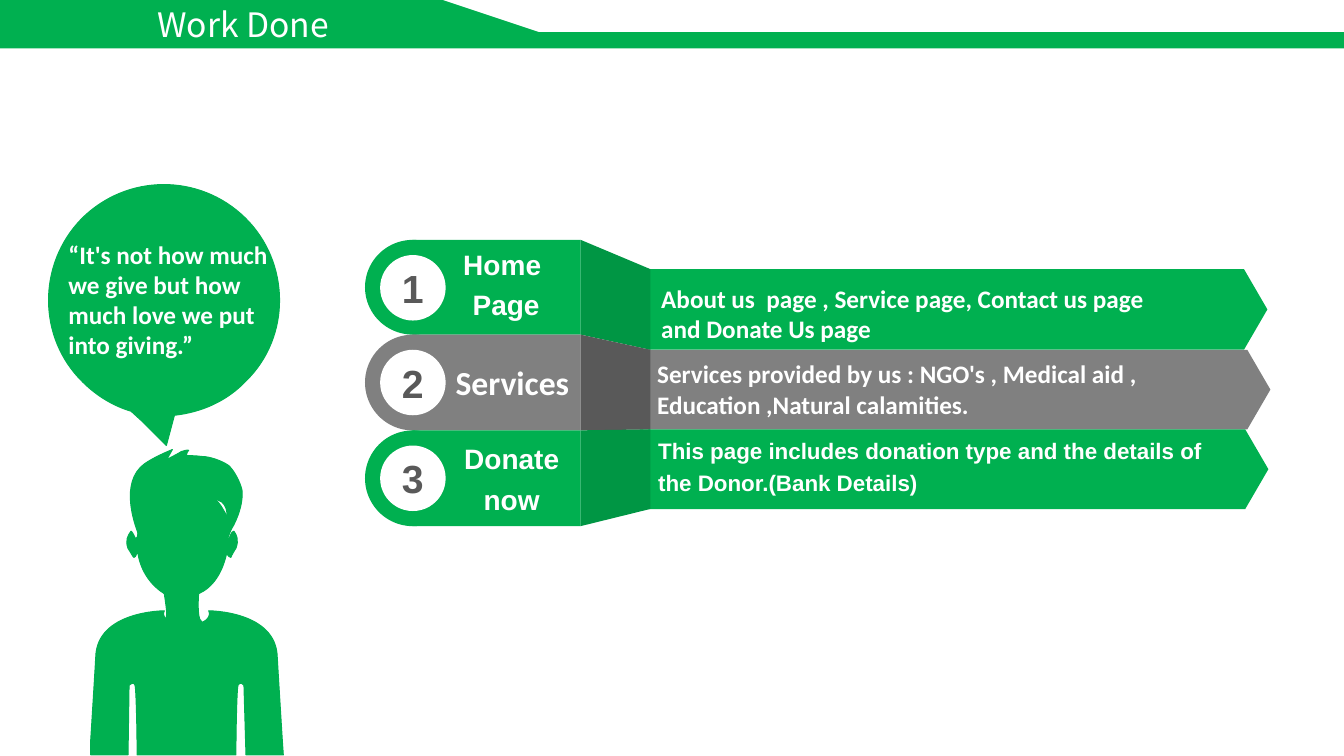
from lxml import etree
from pptx import Presentation
from pptx.dml.color import RGBColor
from pptx.enum.shapes import MSO_SHAPE
from pptx.enum.text import MSO_ANCHOR, MSO_AUTO_SIZE, PP_ALIGN
from pptx.oxml.ns import qn
from pptx.util import Emu, Pt

PX = 9144  # 100 px to the inch
GREEN, SHADE, GREY, DARK, WHITE = "00B050", "009644", "808080", "595959", "FFFFFF"

# Each curve is x, y of the start, then three points for each Bezier piece.
HEAD = [
    216, 634, 215, 632, 211, 628, 208, 626, 204, 621, 199, 616, 198, 614,
    197, 611, 196, 603, 197, 589, 211, 583, 221, 568, 225, 548,
    226, 551, 226, 551, 227, 552, 228, 553, 228, 553, 229, 553,
    229, 553, 230, 550, 234, 544, 237, 536, 235, 531, 232, 527,
    231, 527, 230, 527, 227, 535, 226, 534, 226, 534, 226, 534,
    225, 532, 231, 523, 224, 510, 218, 500, 214, 488, 185, 487,
    168, 487, 150, 483, 138, 505, 137, 529, 137, 534, 135, 534,
    135, 536, 135, 536, 135, 536, 134, 533, 131, 527, 130, 527,
    127, 531, 124, 536, 127, 544, 131, 550, 132, 553, 133, 553,
    134, 553, 135, 552, 136, 547, 137, 550, 137, 550, 137, 550,
    140, 567, 150, 581, 163, 589, 165, 602, 166, 610, 165, 612,
    163, 617, 152, 629, 149, 634, 159, 634, 168, 634, 175, 634,
    192, 634, 200, 633, 205, 633, 208, 633, 212, 633, 216, 634]
BODY = [
    127, 749, 128, 680, 128, 680, 128, 680, 128, 680, 133, 675, 134, 680,
    135, 683, 136, 722, 136, 749, 234, 749, 234, 749, 234, 749,
    234, 722, 235, 683, 236, 680, 238, 675, 242, 680, 242, 680,
    244, 749, 244, 749, 244, 749, 281, 749, 281, 749, 281, 749,
    280, 734, 280, 734, 280, 734, 280, 734, 276, 670, 275, 652,
    274, 606, 207, 606, 207, 606, 207, 606, 214, 618, 185, 621,
    156, 618, 163, 606, 163, 606, 163, 606, 96, 606, 95, 652,
    94, 670, 90, 734, 90, 734, 90, 749, 90, 749, 90, 749]
HAIR = [
    143, 537, 143, 537, 141, 520, 140, 516, 140, 512, 141, 502, 143, 498,
    145, 495, 157, 490, 161, 488, 165, 486, 182, 486, 192, 488,
    202, 490, 216, 496, 220, 498, 224, 501, 226, 508, 225, 513,
    224, 518, 223, 525, 223, 528, 223, 529, 221, 538, 221, 538,
    221, 538, 223, 541, 224, 538, 226, 535, 229, 525, 230, 524,
    231, 523, 242, 503, 240, 486, 238, 478, 233, 468, 227, 462,
    220, 457, 208, 453, 201, 453, 194, 452, 185, 452, 185, 452,
    185, 452, 185, 450, 186, 448, 189, 446, 186, 446, 180, 448,
    175, 451, 169, 454, 169, 454, 169, 454, 165, 457, 166, 455,
    167, 453, 171, 446, 171, 446, 171, 446, 146, 456, 139, 464,
    119, 485, 136, 526, 137, 529, 138, 533, 140, 535, 141, 537,
    143, 539, 143, 537, 143, 537]
BUBBLE = [
    243, 216, 198, 172, 126, 172, 81, 217, 37, 262, 37, 335, 82, 379,
    96, 393, 113, 403, 130, 408, 141, 418, 141, 418, 141, 418,
    165, 442, 165, 442, 165, 442, 173, 412, 173, 412, 173, 412,
    200, 409, 225, 398, 244, 378, 289, 334, 288, 260, 243, 216]

EDGES = (238, 332, 427, 522)  # between the labels
SLABS = (267, 347, 426, 505)  # between the arrows

# Colour, fold colour, arrow left and width, label box, label, note box, note
STEPS = [
    (GREEN, SHADE, (642, 615), (342, 249, 320, 69), ["Home ", "Page"],
     (646, 276, 538, 71),
     ["About us  page , Service page, Contact us page and Donate Us page"]),
    (GREY, DARK, (615, 645), (442, 354, 181, 50), ["Services"],
     (642, 351, 674, 71),
     ["Services provided by us : NGO's , Medical aid , Education ,Natural calamities."]),
    (GREEN, SHADE, (643, 615), (457, 442, 101, 37), ["Donate ", "now"],
     (643, 429, 567, 99),
     ["This page includes donation type and the details of ",
      "the Donor.(Bank Details)"]),
]


def tint(color, code):
    color.rgb = RGBColor.from_string(code)


def paint(shape, fill, line=None):
    shape.shadow.inherit = False
    shape.fill.solid()
    tint(shape.fill.fore_color, fill)
    if line:
        tint(shape.line.color, line)
        shape.line.width = Pt(0.75)
    else:
        shape.line.fill.background()


def place(box):
    return [Emu(n * PX) for n in box]


def block(shapes, kind, box, fill):
    shape = shapes.add_shape(kind, *place(box))
    paint(shape, fill)
    return shape


def outline(shapes, points, fill, line=None):
    pen = shapes.build_freeform(*points[0], scale=PX)
    pen.add_line_segments(points[1:], close=True)
    shape = pen.convert_to_shape()
    paint(shape, fill, line)
    return shape


def bend(shape):
    """Join every three straight segments into one Bezier piece."""
    lines = list(shape.element.iter(qn("a:lnTo")))
    for i in range(0, len(lines) - 2, 3):
        piece = etree.Element(qn("a:cubicBezTo"))
        lines[i].addprevious(piece)
        for line in lines[i:i + 3]:
            piece.append(line[0])
            line.getparent().remove(line)


def style(para, font, size, code, bold=True):
    for run in para.runs:
        run.font.name, run.font.size, run.font.bold = font, Pt(size), bold
        tint(run.font.color, code)


def trim(frame):
    frame.margin_left = frame.margin_right = 0
    frame.margin_top = frame.margin_bottom = 0


def write(shapes, box, lines, font, size, align=PP_ALIGN.LEFT, gap=0, pitch=1.0):
    frame = shapes.add_textbox(*place(box)).text_frame
    frame.word_wrap = True
    frame.text = "\n".join(lines)
    for i, para in enumerate(frame.paragraphs):
        para.alignment, para.line_spacing = align, pitch
        if i:
            para.space_before = Pt(gap)
        style(para, font, size, WHITE)
    return frame


def header(slide):
    shapes = slide.shapes
    block(shapes, MSO_SHAPE.RECTANGLE, (-3, 32, 1336, 16), GREEN)
    outline(shapes, [(430, -3), (-3, 0), (-1, 32), (535, 32)], GREEN)
    title = shapes.title
    shapes.element.append(title.element)  # bring to the front
    title.left, title.top, title.width, title.height = place((146, -1, 201, 50))
    frame = title.text_frame
    frame.text = "Work Done"
    frame.auto_size, frame.word_wrap = MSO_AUTO_SIZE.NONE, False
    frame.vertical_anchor = MSO_ANCHOR.TOP
    frame.paragraphs[0].alignment = PP_ALIGN.LEFT
    style(frame.paragraphs[0], "Noto Sans CJK SC", 24, WHITE, False)


def ribbon(shapes, i, fill, fold, span, spot, label, area, note):
    """Draw one numbered step with its fold and arrow."""
    top, low = EDGES[i:i + 2]
    roof, base = SLABS[i:i + 2]
    left, width = span
    arrow = block(shapes, MSO_SHAPE.PENTAGON, (left, roof, width, base - roof), fill)
    arrow.adjustments[0] = 0.29
    block(shapes, MSO_SHAPE.RECTANGLE, (409, top, 167, low - top), fill)
    outline(shapes, [(645, roof), (645, base), (576, low), (576, top)], fold)
    block(shapes, MSO_SHAPE.OVAL, (362, top, 95, low - top), fill)
    disc = block(shapes, MSO_SHAPE.OVAL, (377, top + 15, 65, 65), WHITE)
    frame = disc.text_frame
    frame.text = str(i + 1)
    frame.vertical_anchor = MSO_ANCHOR.MIDDLE
    trim(frame)
    frame.paragraphs[0].alignment = PP_ALIGN.CENTER
    style(frame.paragraphs[0], "Arial", 28, DARK)
    if len(label) > 1:
        trim(write(shapes, spot, label, "Arial", 20, PP_ALIGN.CENTER, 7.5, 0.9))
    else:
        write(shapes, spot, label, "Calibri", 24)
    if len(note) > 1:
        write(shapes, area, note, "Arial", 16, PP_ALIGN.JUSTIFY, 3.2)
    else:
        write(shapes, area, note, "Calibri", 18)


def speaker(shapes):
    group = shapes.add_group_shape()
    for curve in (HEAD, BODY, HAIR, BUBBLE):
        points = list(zip(curve[::2], curve[1::2]))
        bend(outline(group.shapes, points, GREEN, GREEN))
    quote = "“It's not how much we give but how much love we put into giving.”"
    write(shapes, (58, 232, 245, 131), [quote], "Calibri", 18)


def main():
    deck = Presentation()
    deck.slide_width, deck.slide_height = place((1333, 750))
    slide = deck.slides.add_slide(deck.slide_layouts[5])
    header(slide)
    for i, step in enumerate(STEPS):
        ribbon(slide.shapes, i, *step)
    speaker(slide.shapes)
    deck.save("out.pptx")


if __name__ == "__main__":
    main()
